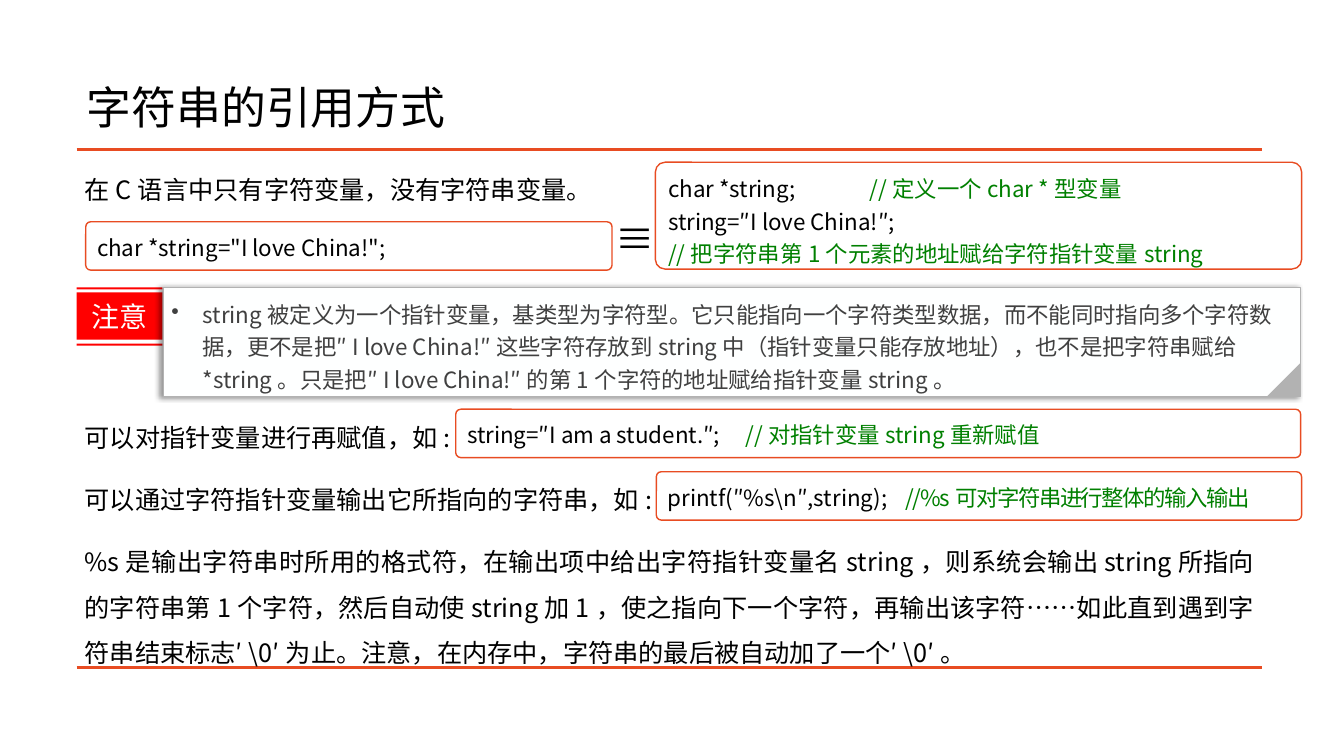
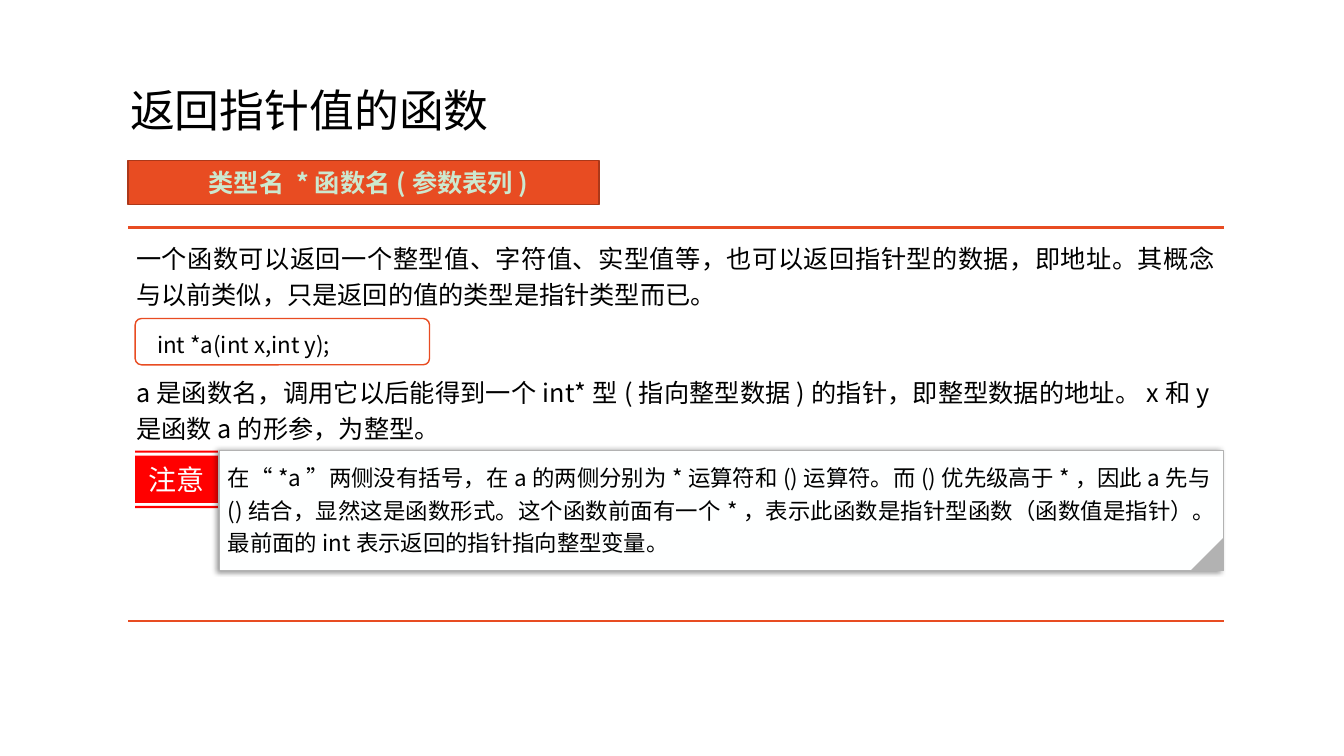
import dataclasses
import typing

import lxml.etree
import pptx
import pptx.dml.color
import pptx.enum.shapes
import pptx.enum.text
import pptx.oxml.ns
import pptx.util

Inches = pptx.util.Inches
Pt = pptx.util.Pt
ALIGN = pptx.enum.text.PP_ALIGN
ANCHOR = pptx.enum.text.MSO_ANCHOR
SHAPE = pptx.enum.shapes.MSO_SHAPE
qn = pptx.oxml.ns.qn

FONT = "Noto Sans CJK SC"
BLACK, WHITE, PAPER, GREY = "000000", "FFFFFF", "FEFFFF", "B2B2B2"
ORANGE, DARK_ORANGE, RED, GREEN = "E84C22", "AC3819", "FF0000", "008000"
PALE_GREEN, DARK_GREY = "CCE8CF", "404040"
CODE_PITCH = 23.2  # line pitch of code and notes, points


class Box(typing.NamedTuple):
    left: float
    top: float
    width: float
    height: float

    def emu(self) -> list:
        return [Inches(value) for value in self]


class Span(typing.NamedTuple):
    text: str
    color: str = BLACK
    tracking: float = 0


@dataclasses.dataclass
class Style:
    size: float
    pitch: typing.Optional[float] = None
    align: typing.Any = ALIGN.LEFT
    anchor: typing.Any = ANCHOR.TOP
    insets: tuple = (0.1, 0.05, 0.1, 0.05)
    bold: bool = False
    bullet: bool = False
    tab: float = 0


@dataclasses.dataclass
class Code:
    box: Box
    corner: float
    lines: list
    tab: float = 0
    inset: float = 0.1


@dataclasses.dataclass
class Note:
    badge: Box
    page: Box
    text: Span
    align: typing.Any
    bullet: bool = False


def rgb(color: str) -> pptx.dml.color.RGBColor:
    return pptx.dml.color.RGBColor.from_string(color)


def add_xml(parent, tag: str, **attributes):
    return lxml.etree.SubElement(parent, qn(tag), attributes)


def write(shape, lines: list, style: Style) -> None:
    """Fill a shape with lines, each a list of spans."""
    frame = shape.text_frame
    frame.word_wrap = True
    frame.vertical_anchor = style.anchor
    (frame.margin_left, frame.margin_top,
     frame.margin_right, frame.margin_bottom) = map(Inches, style.insets)
    for number, spans in enumerate(lines):
        paragraph = frame.paragraphs[0] if number == 0 else frame.add_paragraph()
        paragraph.alignment = style.align
        if style.pitch:
            paragraph.line_spacing = Pt(style.pitch)
        properties = paragraph._p.get_or_add_pPr()
        if style.bullet:
            properties.set("marL", str(Inches(0.31)))
            properties.set("indent", str(-Inches(0.31)))
            add_xml(properties, "a:buChar", char="•")
        if style.tab:
            stops = add_xml(properties, "a:tabLst")
            add_xml(stops, "a:tab", pos=str(Inches(style.tab)), algn="l")
        for span in spans:
            run = paragraph.add_run()
            run.text = span.text
            run.font.size = Pt(style.size)
            run.font.bold = style.bold
            run.font.name = FONT
            run.font.color.rgb = rgb(span.color)
            run_properties = run._r.get_or_add_rPr()
            add_xml(run_properties, "a:ea", typeface=FONT)
            if span.tracking:
                run_properties.set("spc", str(int(span.tracking * 100)))


def paint(shape, fill: str, line: typing.Optional[str] = None, weight: float = 1) -> None:
    shape.shadow.inherit = False
    shape.fill.solid()
    shape.fill.fore_color.rgb = rgb(fill)
    if line:
        shape.line.color.rgb = rgb(line)
        shape.line.width = Pt(weight)
    else:
        shape.line.fill.background()


def add_text(slide, box: Box, text: str, style: Style) -> None:
    write(slide.shapes.add_textbox(*box.emu()), [[Span(text)]], style)


def add_body(slide, box: Box, text: str, pitch: float) -> None:
    add_text(slide, box, text, Style(18, pitch, ALIGN.JUSTIFY, insets=(0.08,) * 4))


def start_slide(deck, title: str, title_box: Box, rules: Box):
    """Add a titled slide with the orange rules above and below its content."""
    slide = deck.slides.add_slide(deck.slide_layouts[5])
    heading = slide.shapes.title
    heading.left, heading.top, heading.width, heading.height = title_box.emu()
    write(heading, [[Span(title)]], Style(32, anchor=ANCHOR.MIDDLE))
    heading.text_frame.paragraphs[0].line_spacing = 0.9
    for y in (rules.top, rules.top + rules.height):
        rule = slide.shapes.add_connector(
            pptx.enum.shapes.MSO_CONNECTOR.STRAIGHT, Inches(rules.left), Inches(y),
            Inches(rules.left + rules.width), Inches(y))
        rule.line.color.rgb = rgb(ORANGE)
        rule.line.width = Pt(2)
        add_xml(rule._element.spPr, "a:effectLst")
    return slide


def add_code(slide, code: Code) -> None:
    frame = slide.shapes.add_shape(SHAPE.ROUNDED_RECTANGLE, *code.box.emu())
    frame.adjustments[0] = code.corner
    paint(frame, WHITE, ORANGE)
    write(frame, code.lines, Style(16, CODE_PITCH, tab=code.tab,
                                   insets=(code.inset, 0.05, 0.1, 0.05)))


def add_note(slide, note: Note) -> None:
    # Red badge: a band between two thin stripes
    left, top, width, height = note.badge
    right = left + width
    bands = [(top, 0.02), (top + 0.05, 0.47), (top + height - 0.02, 0.02)]
    outline = None
    for y, thickness in bands:
        corners = [(Inches(x), Inches(v)) for x, v in (
            (left, y), (right, y), (right, y + thickness), (left, y + thickness))]
        if outline is None:
            outline = slide.shapes.build_freeform(*corners[0])
        else:
            outline.move_to(*corners[0])
        outline.add_line_segments(corners[1:], close=True)
    badge = outline.convert_to_shape()
    paint(badge, RED)
    write(badge, [[Span("注意", PAPER)]],
          Style(20, align=ALIGN.CENTER, anchor=ANCHOR.MIDDLE))

    # Page with a soft shadow to the left
    page = slide.shapes.add_shape(SHAPE.RECTANGLE, *note.page.emu())
    paint(page, PAPER, GREY, 0.75)
    effects = page._element.spPr.find(qn("a:effectLst"))
    shadow = add_xml(effects, "a:outerShdw", blurRad=str(Pt(4)), dist=str(Pt(3)),
                     dir="10800000", algn="r", rotWithShape="0")
    shade = add_xml(shadow, "a:srgbClr", val=BLACK)
    add_xml(shade, "a:alpha", val="40000")
    write(page, [[note.text]], Style(16, CODE_PITCH, note.align,
                                     insets=(0.08,) * 4, bullet=note.bullet))

    # Folded corner
    fold = 0.33
    corner = Box(note.page.left + note.page.width - fold,
                 note.page.top + note.page.height - fold, fold, fold)
    triangle = slide.shapes.add_shape(SHAPE.RIGHT_TRIANGLE, *corner.emu())
    triangle.rotation = 270
    paint(triangle, GREY)


def string_reference_slide(deck) -> None:
    slide = start_slide(deck, "字符串的引用方式", Box(0.76, 0.57, 11.5, 1.04),
                        Box(0.76, 1.48, 11.76, 5.14))
    # Running text, on a grid of equal rows
    rows = [
        (0, 0.55, "在C语言中只有字符变量，没有字符串变量。"),
        (4, 0.55, "可以对指针变量进行再赋值，如:"),
        (5, 0.55, "可以通过字符指针变量输出它所指向的字符串，如:"),
        (6, 1.4, "%s是输出字符串时所用的格式符，在输出项中给出字符指针变量名string，"
                 "则系统会输出string所指向的字符串第1个字符，然后自动使string加1，"
                 "使之指向下一个字符，再输出该字符……如此直到遇到字符串结束标志′\\0′为止。"
                 "注意，在内存中，字符串的最后被自动加了一个′\\0′。"),
    ]
    for row, height, text in rows:
        add_body(slide, Box(0.76, 1.5 + 0.615 * row, 11.76, height), text, 32.5)

    # Code samples
    samples = [
        Code(Box(0.85, 2.2, 5.22, 0.48), 0.105, [[Span('char *string="I love China!";')]]),
        Code(Box(6.5, 1.61, 6.41, 1.06), 0.091, [
            [Span("char *string;\t"), Span("//定义一个char *型变量", GREEN)],
            [Span("string=″I love China!″;")],
            [Span("//把字符串第1个元素的地址赋给字符指针变量string", GREEN)]], tab=2),
        Code(Box(4.52, 4.06, 8.38, 0.48), 0.105, [
            [Span("string=″I am a student.″;\t"),
             Span("//对指针变量string重新赋值", GREEN)]], tab=2.76),
        Code(Box(6.51, 4.68, 6.4, 0.48), 0.105, [
            [Span("printf(″%s\\n″,string);\t"),
             Span("//%s可对字符串进行整体的输入输出", GREEN, -1)]], tab=2.36),
    ]
    for sample in samples:
        add_code(slide, sample)
    add_text(slide, Box(6.08, 2.08, 0.43, 0.57), "≡",
             Style(28, align=ALIGN.CENTER, insets=(0, 0.05, 0, 0.05)))

    add_note(slide, Note(
        Box(0.76, 2.85, 0.85, 0.58), Box(1.62, 2.85, 11.28, 1.08),
        Span("string被定义为一个指针变量，基类型为字符型。它只能指向一个字符类型数据，"
             "而不能同时指向多个字符数据，更不是把″I love China!″这些字符存放到string中"
             "（指针变量只能存放地址），也不是把字符串赋给*string。"
             "只是把″I love China!″的第1个字符的地址赋给指针变量string。", DARK_GREY),
        ALIGN.LEFT, bullet=True))


def pointer_function_slide(deck) -> None:
    slide = start_slide(deck, "返回指针值的函数", Box(1.19, 0.4, 7.91, 1.45),
                        Box(1.27, 2.26, 10.87, 3.9))
    # Syntax banner
    banner = slide.shapes.add_shape(SHAPE.RECTANGLE, *Box(1.27, 1.59, 4.67, 0.44).emu())
    paint(banner, ORANGE, DARK_ORANGE)
    write(banner, [[Span("类型名 *函数名(参数表列)", PALE_GREEN)]],
          Style(18, align=ALIGN.CENTER, anchor=ANCHOR.MIDDLE,
                insets=(0.2, 0.05, 0.1, 0.05), bold=True))

    # Running text around the declaration
    passages = [
        (2.28, "一个函数可以返回一个整型值、字符值、实型值等，也可以返回指针型的数据，即地址。"
               "其概念与以前类似，只是返回的值的类型是指针类型而已。"),
        (3.61, "a是函数名，调用它以后能得到一个int*型(指向整型数据)的指针，"
               "即整型数据的地址。x和y是函数a的形参，为整型。"),
    ]
    for top, text in passages:
        add_body(slide, Box(1.27, top, 10.87, 0.88), text, 25.7)
    add_code(slide, Code(Box(1.34, 3.16, 2.92, 0.46), 0.138,
                         [[Span("int *a(int x,int y);")]], inset=0.2))

    add_note(slide, Note(
        Box(1.34, 4.47, 0.82, 0.57), Box(2.18, 4.47, 9.96, 1.19),
        Span("在“*a”两侧没有括号，在a的两侧分别为*运算符和()运算符。而()优先级高于*，"
             "因此a先与()结合，显然这是函数形式。这个函数前面有一个*，"
             "表示此函数是指针型函数（函数值是指针）。"
             "最前面的int表示返回的指针指向整型变量。"),
        ALIGN.JUSTIFY))


def main() -> None:
    deck = pptx.Presentation()
    deck.slide_width, deck.slide_height = Inches(13.33), Inches(7.5)
    string_reference_slide(deck)
    pointer_function_slide(deck)
    deck.save("out.pptx")


if __name__ == "__main__":
    main()
